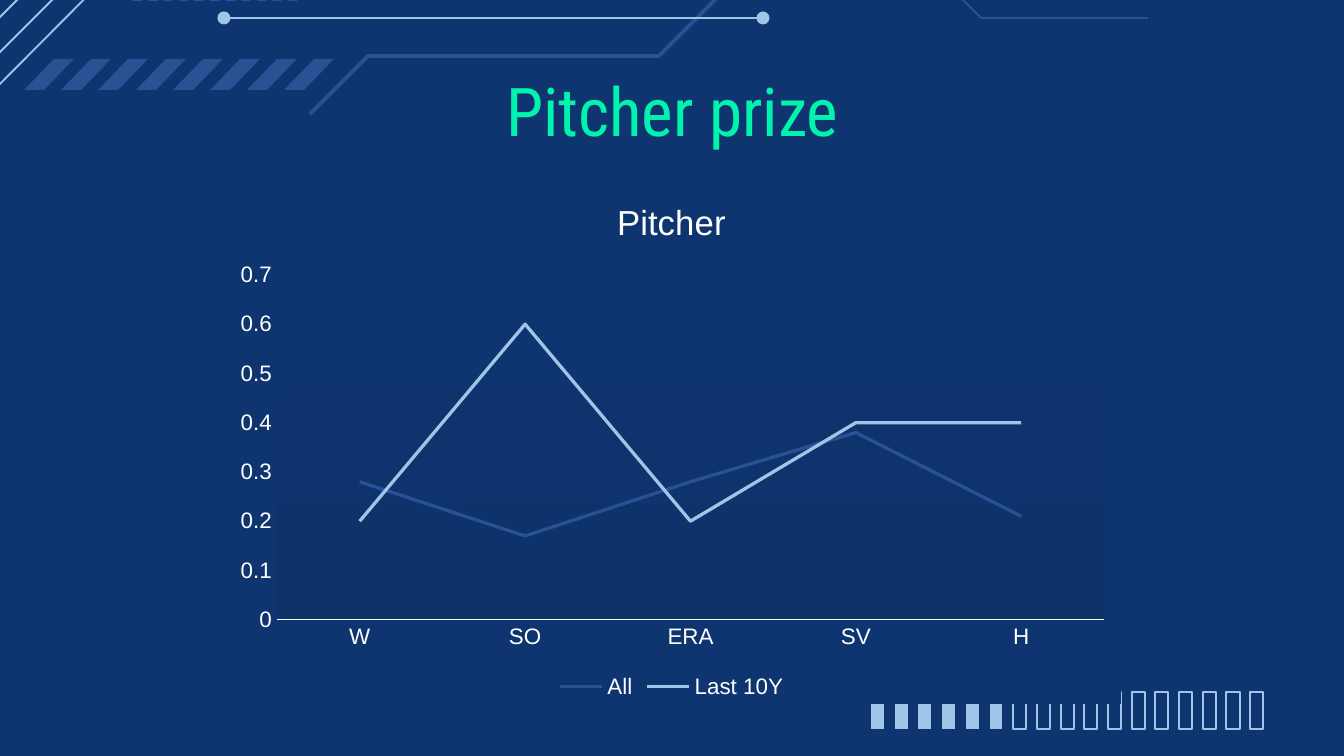
import pptx
import pptx.util
import pptx.chart.data
import pptx.dml.color
import pptx.enum.chart
import pptx.enum.shapes
import pptx.enum.text
import pptx.oxml

PX = 914400 / 134.4  # EMU per px
NAVY, BLUE, SKY, MINT, WHITE = "0F3570", "285293", "9FC5E8", "00F4AD", "FFFFFF"

# Content
TITLE = "Pitcher prize"
CHART_TITLE = "Pitcher"
CATEGORIES = ["W", "SO", "ERA", "SV", "H"]
SERIES = [
    ("All", [0.28, 0.17, 0.28, 0.38, 0.21], BLUE),
    ("Last 10Y", [0.2, 0.6, 0.2, 0.4, 0.4], SKY),
]

# Circuit traces: points, colour, width in pt
TRACES = [
    ([(-25, 109), (171, -88), (348, -88), (422, -14), (603, -14), (711, -122), (812, -122)], SKY, 1),
    ([(310, 114), (368, 56), (659, 56), (735, -20), (869, -20)], BLUE, 2),
    ([(1148, 18), (981, 18), (912, -51), (786, -51)], BLUE, 1),
    ([(224, 18), (763, 18)], SKY, 1.25),
    ([(-58, 110), (141, -89)], SKY, 1),
    ([(-82, 99), (116, -99)], SKY, 1),
]
DOTS = [(224, 18), (763, 18)]
DOT_SIZE = 13

# Repeated outlines: points of the first, count, step
STRIPES = ([(24, 90), (54, 59), (74, 59), (44, 90)], 8, 37.2)
CHEVRONS = ([(142, 1), (127, -12), (141, -26), (131, -26), (117, -12), (133, 1)], 11, 15.6)
BARS = ([(871, 692), (871, 729), (884, 729), (884, 692)], 17, 23.7)
FILLED_BARS = 6

TITLE_BOX = (106, 69, 1133, 71)
CHART_BOX = (222, 175, 899, 529)
PLOT_BOX = (277, 275, 827, 345)


def emu(*values):
    return [pptx.util.Emu(round(v * PX)) for v in values]


def rgb(color):
    return pptx.dml.color.RGBColor.from_string(color)


def set_font(font, size, color=WHITE, name="Arial"):
    font.size, font.name, font.bold = pptx.util.Pt(size), name, False
    font.color.rgb = rgb(color)


def write(tf, text, align=pptx.enum.text.PP_ALIGN.CENTER, **style):
    p = tf.paragraphs[0]
    p.alignment = align
    r = p.add_run()
    r.text = text
    set_font(r.font, **style)


def paint(sp, fill=None, line=None, width=0.75):
    sp.shadow.inherit = False
    if fill:
        sp.fill.solid()
        sp.fill.fore_color.rgb = rgb(fill)
    else:
        sp.fill.background()
    if line:
        sp.line.color.rgb = rgb(line)
        sp.line.width = pptx.util.Pt(width)
    else:
        sp.line.fill.background()


def outline(points, close=True, **look):
    fb = s.shapes.build_freeform(*points[0], scale=PX)
    fb.add_line_segments(points[1:], close=close)
    paint(fb.convert_to_shape(), **look)


def trace(points, color, width):
    if len(points) > 2:
        outline(points, close=False, line=color, width=width)
        return
    line = s.shapes.add_connector(
        pptx.enum.shapes.MSO_CONNECTOR.STRAIGHT, *emu(*points[0], *points[1]))
    line.line.color.rgb = rgb(color)
    line.line.width = pptx.util.Pt(width)
    line._element.spPr.append(pptx.oxml.parse_xml(f"<a:effectLst {A_NS}/>"))


def repeat(points, count, step):
    for i in range(count):
        yield [(x + i * step, y) for x, y in points]


A_NS = 'xmlns:a="http://schemas.openxmlformats.org/drawingml/2006/main"'
C_NS = 'xmlns:c="http://schemas.openxmlformats.org/drawingml/2006/chart"'

prs = pptx.Presentation()
prs.slide_width, prs.slide_height = emu(1344, 756)
s = prs.slides.add_slide(prs.slide_layouts[5])
s.background.fill.solid()
s.background.fill.fore_color.rgb = rgb(NAVY)

# Decoration at the top
for points, color, width in TRACES:
    trace(points, color, width)
for x, y in DOTS:
    dot = s.shapes.add_shape(
        pptx.enum.shapes.MSO_SHAPE.OVAL,
        *emu(x - DOT_SIZE / 2, y - DOT_SIZE / 2, DOT_SIZE, DOT_SIZE))
    paint(dot, fill=SKY)
for group in (STRIPES, CHEVRONS):
    for points in repeat(*group):
        outline(points, fill=BLUE)

# Row of bars at the bottom right
for i, points in enumerate(repeat(*BARS)):
    outline(points, **({"fill": SKY} if i < FILLED_BARS else {"line": SKY}))

# Title
title = s.shapes.title
title.left, title.top, title.width, title.height = emu(*TITLE_BOX)
tf = title.text_frame
tf.margin_left = tf.margin_right = tf.margin_top = tf.margin_bottom = 0
tf.vertical_anchor = pptx.enum.text.MSO_ANCHOR.TOP
write(tf, TITLE, size=36, color=MINT, name="Roboto Condensed")

# Line chart
data = pptx.chart.data.CategoryChartData()
data.categories = CATEGORIES
for name, values, _ in SERIES:
    data.add_series(name, values)
chart = s.shapes.add_chart(
    pptx.enum.chart.XL_CHART_TYPE.LINE, *emu(*CHART_BOX), data).chart
set_font(chart.font, 10)
chart.has_title = True
write(chart.chart_title.text_frame, CHART_TITLE, size=18.6)
chart.chart_title.include_in_layout = False
chart.has_legend = True
chart.legend.position = pptx.enum.chart.XL_LEGEND_POSITION.BOTTOM
chart.legend.include_in_layout = False
set_font(chart.legend.font, 12)

for axis in (chart.category_axis, chart.value_axis):
    axis.has_major_gridlines = False
    axis.major_tick_mark = axis.minor_tick_mark = pptx.enum.chart.XL_TICK_MARK.NONE
    set_font(axis.tick_labels.font, 12)
chart.category_axis.format.line.color.rgb = rgb(WHITE)
chart.category_axis.format.line.width = pptx.util.Pt(0.75)
value_axis = chart.value_axis
value_axis.format.line.fill.background()
value_axis.minimum_scale, value_axis.maximum_scale, value_axis.major_unit = 0, 0.7, 0.1

chart.plots[0].vary_by_categories = False
for series, (_, _, color) in zip(chart.plots[0].series, SERIES):
    series.smooth = False
    series.marker.style = pptx.enum.chart.XL_MARKER_STYLE.NONE
    series.format.line.color.rgb = rgb(color)
    series.format.line.width = pptx.util.Pt(1.75)

# Chart fill, plot gradient and plot position
plot_area = chart._chartSpace.chart.plotArea
plot_area.append(pptx.oxml.parse_xml(
    f'<c:spPr {C_NS} {A_NS}><a:gradFill><a:gsLst>'
    f'<a:gs pos="0"><a:srgbClr val="{NAVY}"/></a:gs>'
    '<a:gs pos="100000"><a:srgbClr val="0E326A"/></a:gs>'
    '</a:gsLst><a:lin ang="5400000" scaled="0"/></a:gradFill></c:spPr>'))
left, top, width, height = CHART_BOX
x, y, w, h = PLOT_BOX
layout = {"x": (x - left) / width, "y": (y - top) / height, "w": w / width, "h": h / height}
for old in plot_area.findall("{*}layout"):
    plot_area.remove(old)
plot_area.insert(0, pptx.oxml.parse_xml(
    f'<c:layout {C_NS}><c:manualLayout><c:layoutTarget val="inner"/>'
    '<c:xMode val="edge"/><c:yMode val="edge"/>'
    + "".join(f'<c:{k} val="{v:.4f}"/>' for k, v in layout.items())
    + "</c:manualLayout></c:layout>"))
chart._chartSpace.chart.addnext(pptx.oxml.parse_xml(
    f'<c:spPr {C_NS} {A_NS}><a:solidFill><a:srgbClr val="{NAVY}"/></a:solidFill>'
    '<a:ln><a:noFill/></a:ln></c:spPr>'))

prs.save("out.pptx")
